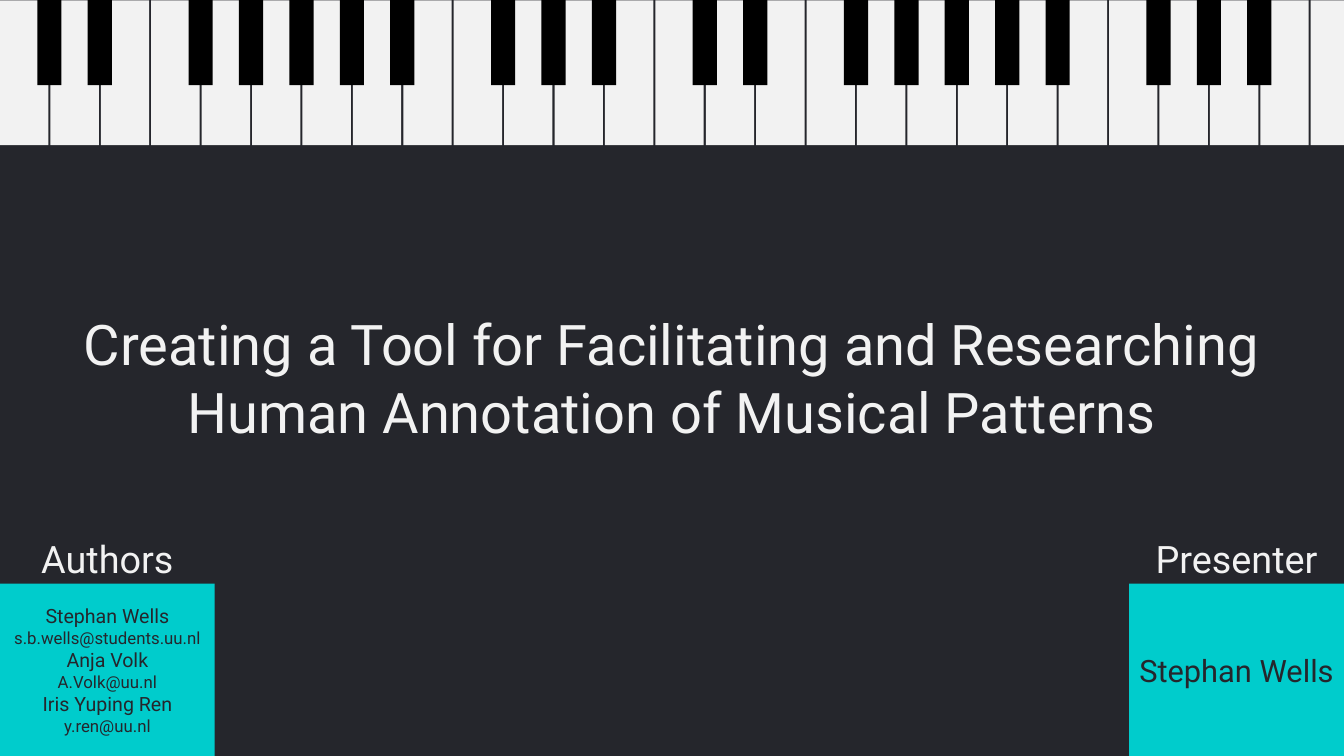
"""Build the title slide of a talk on annotating musical patterns."""
from pptx import Presentation
from pptx.dml.color import RGBColor
from pptx.enum.shapes import MSO_SHAPE
from pptx.enum.text import MSO_ANCHOR, PP_ALIGN
from pptx.util import Emu, Pt

EMU_PER_PX = 9144
SLIDE_WIDTH, SLIDE_HEIGHT = 2666, 1500
DARK, LIGHT, CYAN, BLACK = "25262C", "F2F2F2", "00CCCC", "000000"
FONT = "Roboto"

KEY_PITCH = 100
WHITE_KEY_COUNT = 27
BLACK_KEY_SLOTS = (0, 1, 3, 4, 5, 6, 7, 9, 10, 11, 13, 14, 16, 17, 18, 19, 20, 22, 23, 24)

PANEL_WIDTH, PANEL_HEIGHT, HEADING_HEIGHT = 426, 342, 101
PANEL_TOP = SLIDE_HEIGHT - PANEL_HEIGHT
AUTHORS = (
    ("Stephan Wells", "s.b.wells@students.uu.nl"),
    ("Anja Volk", "A.Volk@uu.nl"),
    ("Iris Yuping Ren", "y.ren@uu.nl"),
)


def px(*lengths):
    return [Emu(length * EMU_PER_PX) for length in lengths]


def color(value):
    return RGBColor.from_string(value)


def write_lines(frame, lines, text_color):
    frame.word_wrap = True
    for index, (text, size) in enumerate(lines):
        para = frame.add_paragraph() if index else frame.paragraphs[0]
        para.alignment = PP_ALIGN.CENTER
        span = para.add_run()
        span.text = text
        span.font.name = FONT
        span.font.size = Pt(size)
        span.font.color.rgb = color(text_color)


def add_block(page, left, top, width, height, fill):
    block = page.shapes.add_shape(MSO_SHAPE.RECTANGLE, *px(left, top, width, height))
    block.shadow.inherit = False
    block.fill.solid()
    block.fill.fore_color.rgb = color(fill)
    block.line.fill.background()
    return block


def add_label(page, left, top, width, height, text, size):
    box = page.shapes.add_textbox(*px(left, top, width, height))
    write_lines(box.text_frame, [(text, size)], LIGHT)


def add_panel(page, left, heading, lines):
    panel = add_block(page, left, PANEL_TOP, PANEL_WIDTH, PANEL_HEIGHT, CYAN)
    panel.text_frame.vertical_anchor = MSO_ANCHOR.MIDDLE
    write_lines(panel.text_frame, lines, DARK)
    add_label(page, left, PANEL_TOP - HEADING_HEIGHT, PANEL_WIDTH, HEADING_HEIGHT, heading, 54)


def add_keyboard(page):
    for slot in range(WHITE_KEY_COUNT):
        add_block(page, slot * KEY_PITCH, 1, 96, 287, LIGHT)
    for slot in BLACK_KEY_SLOTS:
        add_block(page, slot * KEY_PITCH + 74, -48, 48, 217, BLACK)


def main():
    deck = Presentation()
    deck.slide_width, deck.slide_height = px(SLIDE_WIDTH, SLIDE_HEIGHT)
    page = deck.slides.add_slide(deck.slide_layouts[6])
    page.background.fill.solid()
    page.background.fill.fore_color.rgb = color(DARK)

    title = "Creating a Tool for Facilitating and Researching Human Annotation of Musical Patterns"
    add_label(page, 0, 610, SLIDE_WIDTH, 279, title, 80)
    author_lines = [line for name, mail in AUTHORS for line in ((name, 28), (mail, 24))]
    add_panel(page, 0, "Authors", author_lines)
    add_panel(page, SLIDE_WIDTH - PANEL_WIDTH, "Presenter", [("Stephan Wells", 44)])
    add_keyboard(page)
    deck.save("out.pptx")


if __name__ == "__main__":
    main()
